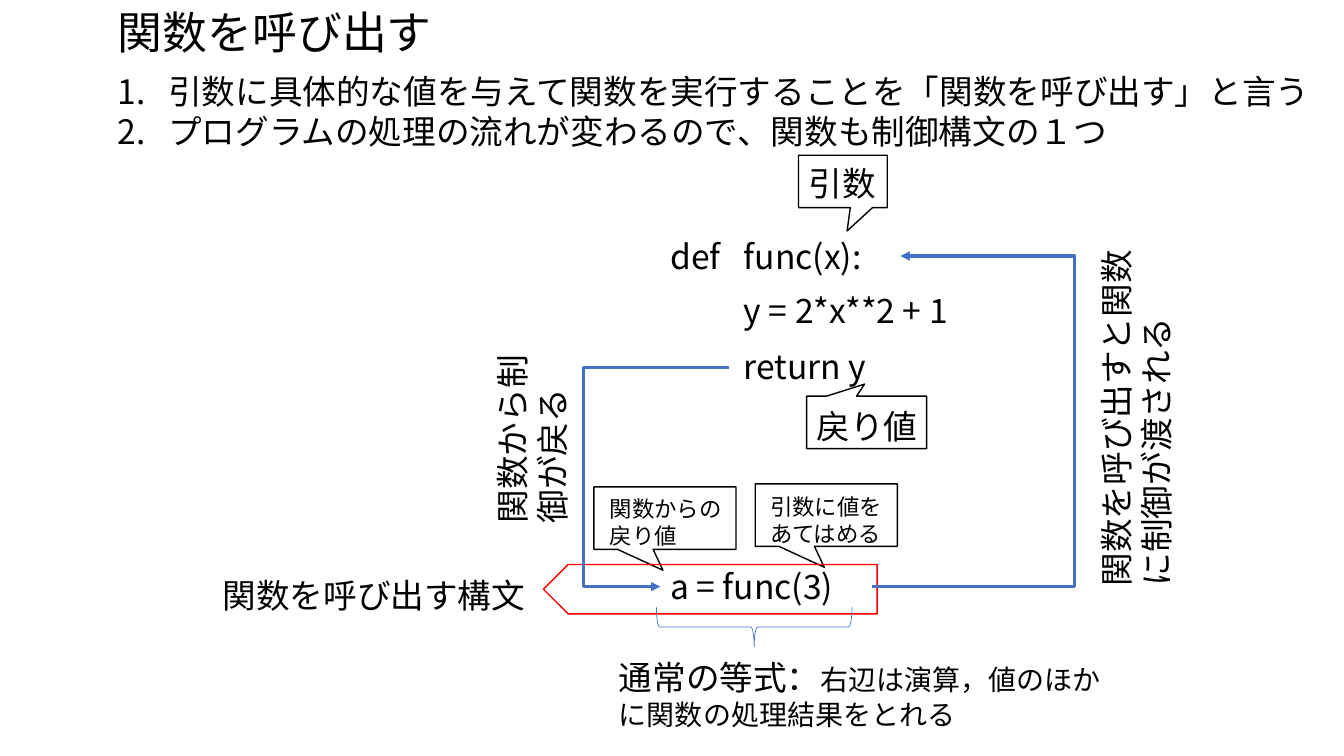
from lxml.etree import SubElement
from pptx import Presentation
from pptx.dml.color import RGBColor
from pptx.enum.shapes import MSO_CONNECTOR, MSO_SHAPE
from pptx.enum.text import MSO_ANCHOR, MSO_AUTO_SIZE, PP_ALIGN
from pptx.oxml.ns import qn
from pptx.util import Inches, Pt

FONT = "Noto Sans CJK JP"
BLACK = RGBColor(0x00, 0x00, 0x00)
BLUE = RGBColor(0x44, 0x72, 0xC4)
RED = RGBColor(0xFF, 0x00, 0x00)

# Content: a paragraph is a list of (text, size) runs
TITLE = "関数を呼び出す"
POINTS = [
    "引数に具体的な値を与えて関数を実行することを「関数を呼び出す」と言う",
    "プログラムの処理の流れが変わるので、関数も制御構文の１つ",
]
DEF_LEFT, BODY_LEFT = 6.55, 7.28
DEF_LINE = ("def\tfunc(x):", (DEF_LEFT, 2.29, 2.38, 0.5))
LABELS = [  # one line each: text, box
    ("y = 2*x**2 + 1", (BODY_LEFT, 2.83, 2.83, 0.5)),
    ("return y", (BODY_LEFT, 3.38, 1.52, 0.5)),
    ("a = func(3)", (DEF_LEFT, 5.57, 2.1, 0.5)),
    ("引数", (7.92, 1.57, 0.88, 0.5)),
    ("戻り値", (8, 3.98, 1.21, 0.5)),
    ("関数を呼び出す構文", (2.11, 5.65, 3.23, 0.5)),
]
SIDE_NOTES = [  # turned to read upwards
    ("関数を呼び出すと関数に制御が渡される", (9.46, 3.65, 3.62, 0.91)),
    ("関数から制御が戻る", (4.31, 3.86, 1.95, 0.91)),
]
CALL_NOTES = [
    ("引数に値をあてはめる", (7.54, 4.84, 1.48, 0.64)),
    ("関数からの戻り値", (5.95, 4.86, 1.48, 0.64)),
]
EQUATION_NOTE = [("通常の等式：", 24), ("右辺は演算，値のほかに関数の処理結果をとれる", 20)]
CALLOUTS = [  # box, pointer tip relative to the centre
    ((7.92, 1.54, 0.88, 0.52), (0.048, 0.944)),
    ((8, 3.93, 1.19, 0.52), (-0.017, -0.73)),
    ((7.49, 4.8, 1.41, 0.62), (-0.014, 0.834)),
    ((5.89, 4.83, 1.41, 0.62), (-0.014, 0.834)),
]
FLOWS = [  # start, end, x of the vertical stretch
    ((8.65, 5.82), (8.93, 2.54), 10.66),
    ((7.23, 3.65), (6.55, 5.82), 5.79),
]

prs = Presentation()
prs.slide_width, prs.slide_height = Inches(13.33), Inches(7.5)
slide = prs.slides.add_slide(prs.slide_layouts[5])


def place(s, box):
    s.left, s.top, s.width, s.height = map(Inches, box)


def fill_text(s, paragraphs, wrap=False):
    tf = s.text_frame
    tf.word_wrap = wrap
    tf.auto_size = MSO_AUTO_SIZE.SHAPE_TO_FIT_TEXT
    tf.vertical_anchor = MSO_ANCHOR.TOP
    for i, runs in enumerate(paragraphs):
        p = tf.add_paragraph() if i else tf.paragraphs[0]
        p.alignment = PP_ALIGN.LEFT
        for text, size in runs:
            r = p.add_run()
            r.text = text
            r.font.size, r.font.name = Pt(size), FONT
            r.font.color.rgb = BLACK
            SubElement(r.font._element, qn("a:ea"), typeface=FONT)


def add_text(box, paragraphs, wrap=False):
    s = slide.shapes.add_textbox(*map(Inches, box))
    fill_text(s, paragraphs, wrap)
    place(s, box)
    return s


def add_outline(kind, box, color, width):
    s = slide.shapes.add_shape(kind, *map(Inches, box))
    s.shadow.inherit = False
    s.fill.background()
    s.line.color.rgb, s.line.width = color, Pt(width)
    return s


# Title and numbered points
fill_text(slide.shapes.title, [[(TITLE, 32)]])
place(slide.shapes.title, (1.07, 0, 3.34, 0.64))
points = add_text((1.07, 0.65, 12.15, 0.91), [[(text, 24)] for text in POINTS])
for p in points.text_frame.paragraphs:
    pPr = p._p.get_or_add_pPr()
    pPr.set("marL", str(Inches(0.5)))
    pPr.set("indent", str(-Inches(0.5)))
    SubElement(pPr, qn("a:buFont"), typeface="+mj-lt")
    SubElement(pPr, qn("a:buAutoNum"), type="arabicPeriod")

# Code and labels; a tab stop lines func up with the body
text, box = DEF_LINE
s = add_text(box, [[(text, 24)]])
pPr = s.text_frame.paragraphs[0]._p.get_or_add_pPr()
tabs = SubElement(pPr, qn("a:tabLst"))
SubElement(tabs, qn("a:tab"), pos=str(Inches(BODY_LEFT - DEF_LEFT)), algn="l")
for text, box in LABELS:
    add_text(box, [[(text, 24)]])

# Notes
for text, box in SIDE_NOTES:
    add_text(box, [[(text, 24)]], wrap=True).rotation = 270
for text, box in CALL_NOTES:
    add_text(box, [[(text, 16)]], wrap=True)
add_text((6.04, 6.47, 5.1, 0.84), [EQUATION_NOTE], wrap=True)

# Callouts, call marker and brace
for box, tip in CALLOUTS:
    s = add_outline(MSO_SHAPE.RECTANGULAR_CALLOUT, box, BLACK, 1)
    s.adjustments[0], s.adjustments[1] = tip
marker = add_outline(MSO_SHAPE.PENTAGON, (5.39, 5.6, 3.31, 0.49), RED, 1)
marker._element.spPr.xfrm.set("flipH", "1")
brace = add_outline(MSO_SHAPE.RIGHT_BRACE, (7.28, 5.25, 0.4, 1.94), BLUE, 0.5)
brace.rotation = 90

# Control flow arrows
for start, end, turn_x in FLOWS:
    c = slide.shapes.add_connector(MSO_CONNECTOR.ELBOW, *map(Inches, start + end))
    c.line.color.rgb, c.line.width = BLUE, Pt(2.25)
    SubElement(c.line._get_or_add_ln(), qn("a:tailEnd"), type="triangle")
    spPr = c._element.spPr
    SubElement(spPr, qn("a:effectLst"))
    bend = round((turn_x - start[0]) / (end[0] - start[0]) * 100000)
    guides = spPr.find(qn("a:prstGeom")).find(qn("a:avLst"))
    SubElement(guides, qn("a:gd"), name="adj1", fmla=f"val {bend}")

prs.save("out.pptx")
